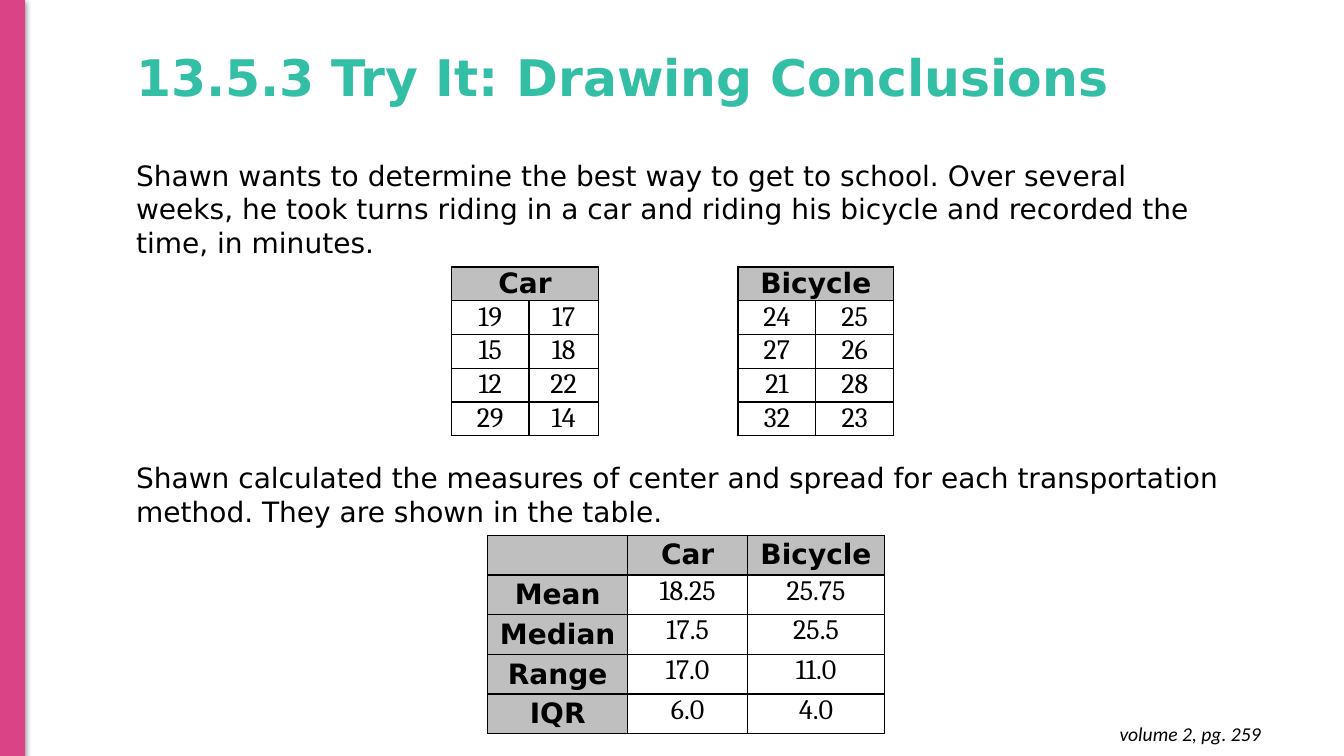
from dataclasses import dataclass

from lxml import etree
from pptx import Presentation
from pptx.dml.color import RGBColor
from pptx.enum.shapes import MSO_SHAPE
from pptx.enum.text import MSO_ANCHOR, MSO_AUTO_SIZE, PP_ALIGN
from pptx.oxml import parse_xml
from pptx.oxml.ns import nsdecls, qn
from pptx.util import Cm, Pt

TITLE = "13.5.3 Try It: Drawing Conclusions"
STORY = [
    "Shawn wants to determine the best way to get to school. Over several weeks, he took turns "
    "riding in a car and riding his bicycle and recorded the time, in minutes.",
    "Shawn calculated the measures of center and spread for each transportation method. "
    "They are shown in the table.",
]
SOURCE = "volume 2, pg. 259"
TIMES = [
    ("Car", "", None, "Bicycle", ""),
    ("19", "17", None, "24", "25"),
    ("15", "18", None, "27", "26"),
    ("12", "22", None, "21", "28"),
    ("29", "14", None, "32", "23"),
]
MEASURES = [
    ("", "Car", "Bicycle"),
    ("Mean", "18.25", "25.75"),
    ("Median", "17.5", "25.5"),
    ("Range", "17.0", "11.0"),
    ("IQR", "6.0", "4.0"),
]


@dataclass(frozen=True)
class Theme:
    accent: str = "DA4487"
    title: str = "33BEA6"
    ink: str = "000000"
    header: str = "BFBFBF"
    text_font: str = "DejaVu Sans"
    number_font: str = "Cambria"
    source_font: str = "Calibri"
    title_size: int = 36
    text_size: int = 20
    source_size: int = 14


THEME = Theme()


def style(para, font, size, color=THEME.ink, bold=False, italic=False):
    para.font.name = font
    para.font.size = Pt(size)
    para.font.color.rgb = RGBColor.from_string(color)
    para.font.bold = bold
    para.font.italic = italic


def add_text(page, bounds, texts, **looks):
    frame = page.shapes.add_textbox(*map(Cm, bounds)).text_frame
    frame.word_wrap = True
    frame.text = "\n".join(texts)
    for para in frame.paragraphs:
        style(para, **looks)
    return frame


def add_bar(page):
    bar = page.shapes.add_shape(MSO_SHAPE.RECTANGLE, 0, 0, Cm(0.61), Cm(19.08))
    bar.fill.solid()
    bar.fill.fore_color.rgb = RGBColor.from_string(THEME.accent)
    bar.line.color.rgb = RGBColor.from_string(THEME.accent)
    bar.line.width = Pt(0.75)
    bar.shadow.inherit = False
    effects = bar.element.spPr.find(qn("a:effectLst"))
    effects.append(parse_xml(
        f'<a:outerShdw {nsdecls("a")} blurRad="{Pt(4.5)}" dist="{Pt(1.5)}" dir="5400000" '
        f'rotWithShape="0"><a:srgbClr val="{THEME.ink}"><a:alpha val="50000"/>'
        '</a:srgbClr></a:outerShdw>'))


def set_borders(cell, hidden=()):
    properties = cell._tc.get_or_add_tcPr()
    for side in "LRTB":
        line = etree.SubElement(properties, qn(f"a:ln{side}"), w=str(Pt(1)))
        if side in hidden:
            etree.SubElement(line, qn("a:noFill"))
        else:
            fill = etree.SubElement(line, qn("a:solidFill"))
            etree.SubElement(fill, qn("a:srgbClr"), val=THEME.ink)


def add_grid(page, left, top, widths, row_height, rows, header_column, header_anchor):
    table = page.shapes.add_table(
        len(rows), len(widths), Cm(left), Cm(top),
        Cm(sum(widths)), Cm(row_height * len(rows))).table
    table.first_row = table.horz_banding = False
    for column, width in zip(table.columns, widths):
        column.width = Cm(width)
    for row_index, values in enumerate(rows):
        table.rows[row_index].height = Cm(row_height)
        for column_index, value in enumerate(values):
            cell = table.cell(row_index, column_index)
            is_gap = value is None
            is_header = not is_gap and (row_index == 0 or header_column and column_index == 0)
            cell.margin_left = cell.margin_right = Cm(0.18)
            cell.margin_top = cell.margin_bottom = 0
            set_borders(cell, hidden="TB" if is_gap else "")
            if is_header:
                cell.fill.solid()
                cell.fill.fore_color.rgb = RGBColor.from_string(THEME.header)
                cell.vertical_anchor = header_anchor
            else:
                cell.fill.background()
            if value:
                cell.text = value
                para = cell.text_frame.paragraphs[0]
                para.alignment = PP_ALIGN.CENTER
                style(para, THEME.text_font if is_header else THEME.number_font,
                      THEME.text_size, bold=is_header)
    return table


def main():
    deck = Presentation()
    deck.slide_width, deck.slide_height = Cm(33.87), Cm(19.05)
    page = deck.slides.add_slide(deck.slide_layouts[6])
    add_bar(page)

    title = add_text(page, (3.18, 0.18, 29.21, 3.68), [TITLE], font=THEME.text_font,
                     size=THEME.title_size, color=THEME.title, bold=True)
    title.vertical_anchor = MSO_ANCHOR.MIDDLE
    title.paragraphs[0].line_spacing = 0.9

    source = add_text(page, (24.71, 17.93, 7.32, 1.12), [SOURCE], font=THEME.source_font,
                      size=THEME.source_size, italic=True)
    source.margin_top = source.margin_bottom = Cm(0.25)
    source.auto_size = MSO_AUTO_SIZE.SHAPE_TO_FIT_TEXT
    source.paragraphs[0].alignment = PP_ALIGN.RIGHT

    story = add_text(page, (3.18, 3.86, 27.99, 13.08), STORY, font=THEME.text_font,
                     size=THEME.text_size)
    story.auto_size = MSO_AUTO_SIZE.SHAPE_TO_FIT_TEXT
    story.paragraphs[1].space_before = Pt(144)

    times = add_grid(page, 11.38, 6.73, (1.95, 1.75, 3.52, 1.96, 1.96), 0.85, TIMES,
                     header_column=False, header_anchor=MSO_ANCHOR.TOP)
    for first in (0, 3):
        times.cell(0, first).merge(times.cell(0, first + 1))
    add_grid(page, 12.29, 13.49, (3.53, 3.02, 3.45), 1, MEASURES,
             header_column=True, header_anchor=MSO_ANCHOR.MIDDLE)

    deck.save("out.pptx")


if __name__ == "__main__":
    main()
